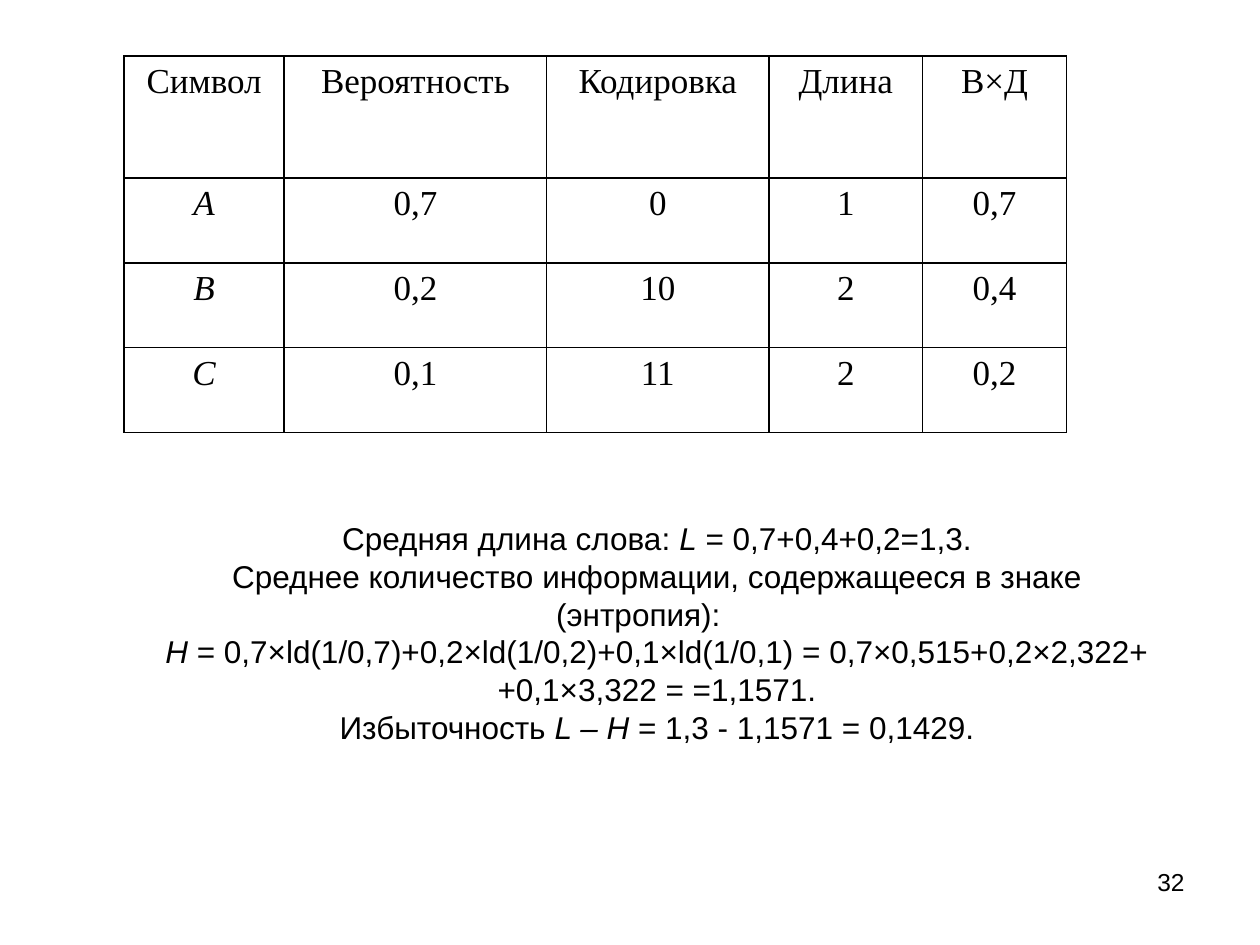
from dataclasses import dataclass

from lxml.etree import SubElement
from pptx import Presentation
from pptx.dml.color import RGBColor
from pptx.enum.text import MSO_ANCHOR as Anchor, PP_ALIGN as Align
from pptx.oxml.ns import qn
from pptx.util import Cm, Pt


@dataclass(frozen=True)
class Theme:
    ink: str = "000000"
    table_font: str = "Times New Roman"
    body_font: str = "Arial"
    table_size: int = 20
    body_size: int = 18
    number_size: int = 14
    border: int = 1


theme = Theme()


def write_text(paragraph, text, font=theme.body_font, size=theme.body_size,
               italic=False, align=Align.CENTER):
    paragraph.alignment = align
    run = paragraph.add_run()
    run.text = text
    run.font.name = font
    run.font.size = Pt(size)
    run.font.italic = italic
    run.font.color.rgb = RGBColor.from_string(theme.ink)


def draw_borders(cell):
    properties = cell._tc.get_or_add_tcPr()
    for position, side in enumerate(("lnL", "lnR", "lnT", "lnB")):
        line = properties.makeelement(qn(f"a:{side}"), {"w": str(Pt(theme.border))})
        fill = SubElement(line, qn("a:solidFill"))
        SubElement(fill, qn("a:srgbClr"), val=theme.ink)
        properties.insert(position, line)


presentation = Presentation()
presentation.slide_width = Cm(25.4)
presentation.slide_height = Cm(19.05)
slide = presentation.slides.add_slide(presentation.slide_layouts[6])

rows = [
    ("Символ", "Вероятность", "Кодировка", "Длина", "В×Д"),
    ("A", "0,7", "0", "1", "0,7"),
    ("B", "0,2", "10", "2", "0,4"),
    ("C", "0,1", "11", "2", "0,2"),
]
column_widths = [3.23, 5.29, 4.48, 3.1, 2.9]
row_heights = [2.46, 1.71, 1.71, 1.71]

code_table = slide.shapes.add_table(
    len(row_heights), len(column_widths), Cm(2.5), Cm(1.13),
    Cm(sum(column_widths)), Cm(sum(row_heights))).table
code_table.first_row = False
code_table.horz_banding = False
for column, width in zip(code_table.columns, column_widths):
    column.width = Cm(width)
for row, height in zip(code_table.rows, row_heights):
    row.height = Cm(height)
for row_index, values in enumerate(rows):
    for column_index, value in enumerate(values):
        cell = code_table.cell(row_index, column_index)
        cell.fill.background()
        draw_borders(cell)
        write_text(cell.text_frame.paragraphs[0], value, font=theme.table_font,
                   size=theme.table_size, italic=row_index > 0 and column_index == 0)

calculations = [
    [("Средняя длина слова: ", False), ("L", True), (" = 0,7+0,4+0,2=1,3.", False)],
    [("Среднее количество информации, содержащееся в знаке (энтропия):", False)],
    [("H", True),
     (" = 0,7×ld(1/0,7)+0,2×ld(1/0,2)+0,1×ld(1/0,1) = 0,7×0,515+0,2×2,322+ ", False)],
    [("+0,1×3,322 = =1,1571.", False)],
    [("Избыточность ", False), ("L – H ", True), ("= 1,3 - 1,1571 = 0,1429.", False)],
]
calculation_frame = slide.shapes.add_textbox(
    Cm(2.29), Cm(10.72), Cm(21.16), Cm(4.06)).text_frame
calculation_frame.word_wrap = True
calculation_frame.vertical_anchor = Anchor.MIDDLE
for index, parts in enumerate(calculations):
    paragraph = calculation_frame.add_paragraph() if index else calculation_frame.paragraphs[0]
    paragraph._p.get_or_add_pPr().set("indent", str(Cm(0.75)))
    for text, italic in parts:
        write_text(paragraph, text, italic=italic)

number_frame = slide.shapes.add_textbox(
    Cm(18.21), Cm(17.35), Cm(5.92), Cm(1.32)).text_frame
number_frame.word_wrap = True
write_text(number_frame.paragraphs[0], "32", size=theme.number_size, align=Align.RIGHT)

presentation.save("out.pptx")
